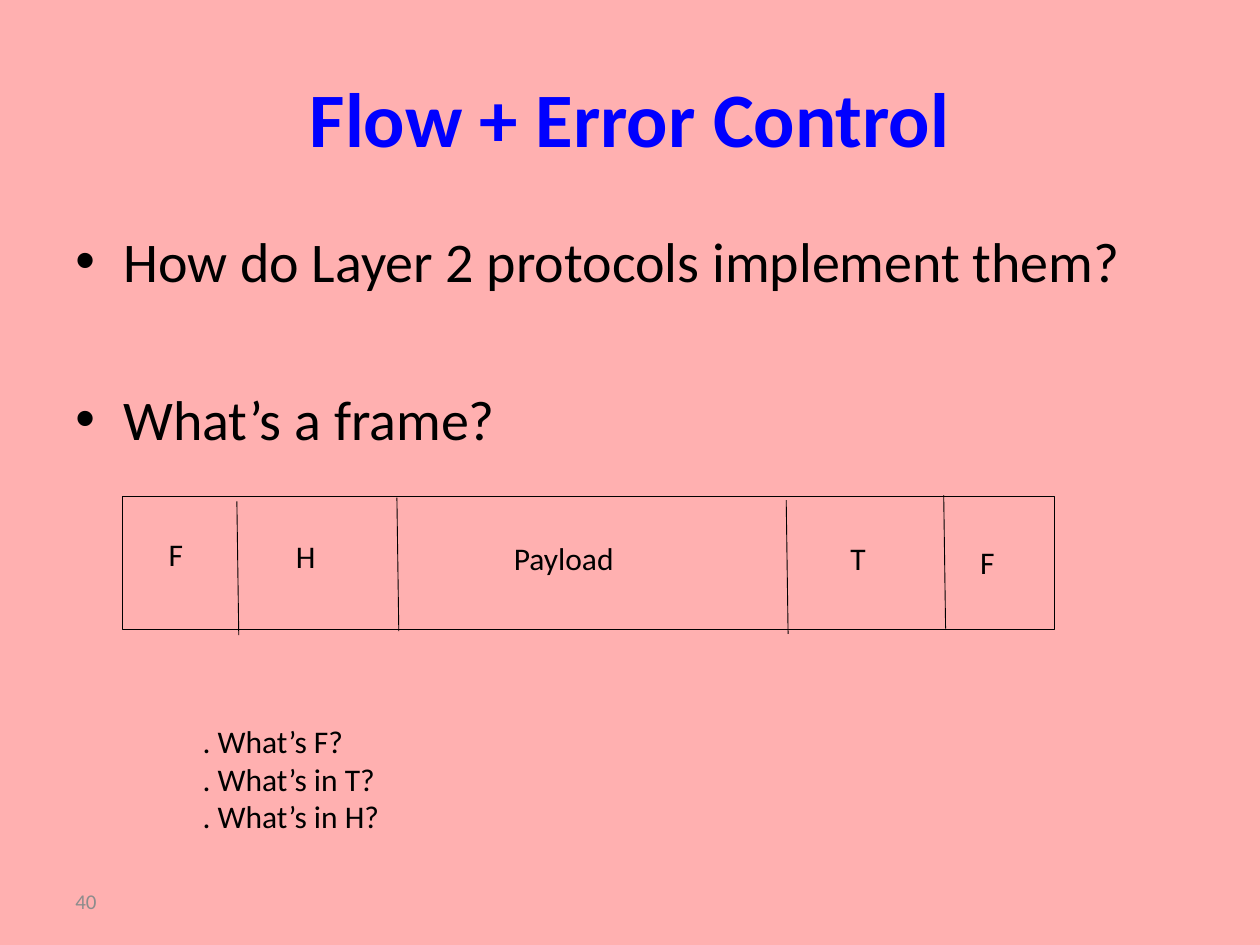
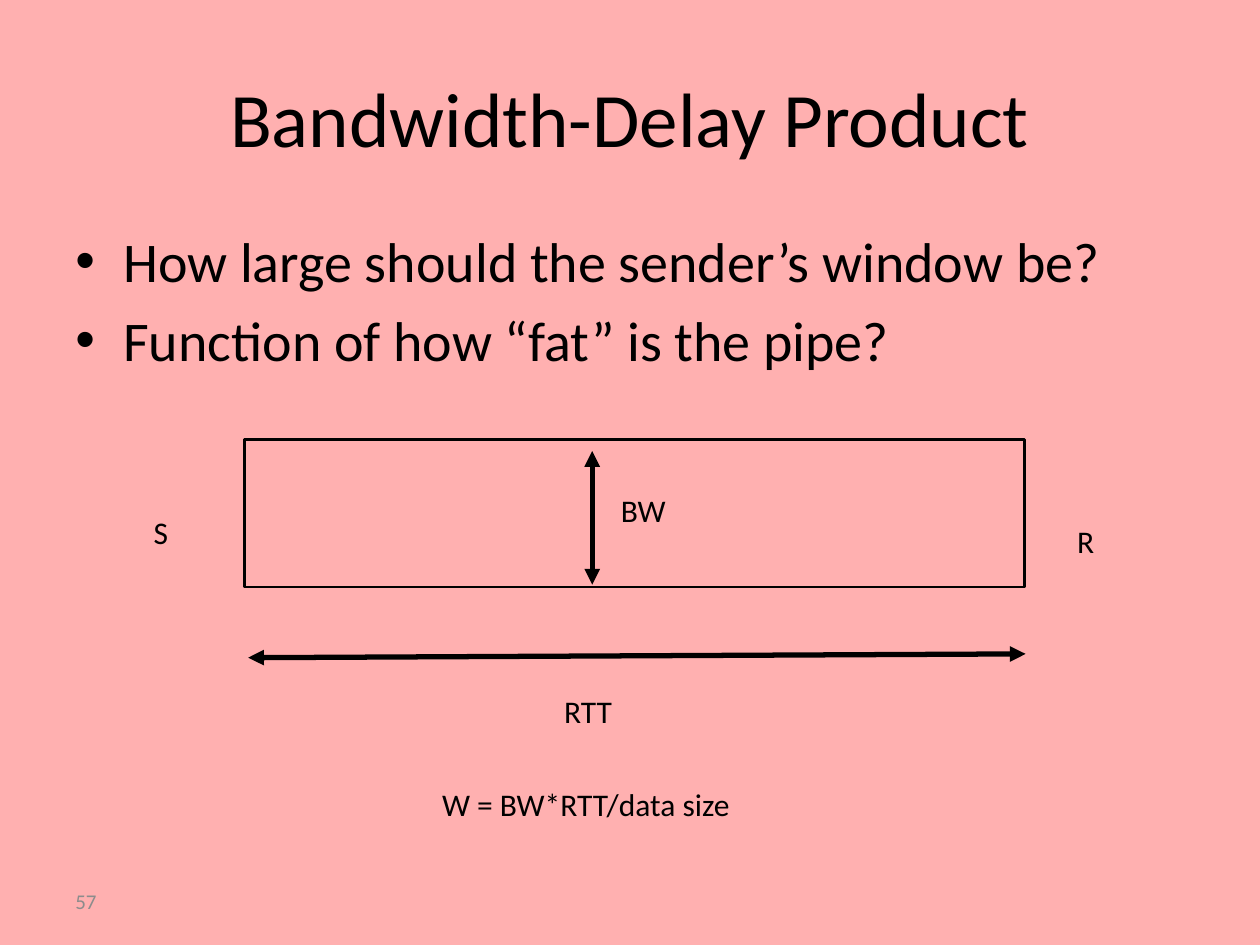
from lxml import etree
from pptx import Presentation
from pptx import util as u
from pptx.dml.color import RGBColor
from pptx.enum import shapes, text
from pptx.oxml.ns import qn

COLORS = {"pink": "FFB0B0", "blue": "0000FF", "black": "000000", "gray": "8C8C8C"}
FONT = "Calibri"
WIDTH, HEIGHT = u.Inches(10), u.Inches(7.5)
COLS, ROWS = 100, 75
LABEL_H = 5
BULLET_INDENT = u.Inches(0.38)

TITLE_BOX = (5, 3, 90, 12.5)
BODY_BOX = (5, 17.5, 90, 49.5)
NUMBER_BOX = (5, 69.5, 23.3, 4)


def rgb(name):
    return RGBColor.from_string(COLORS[name])


def x_at(col):
    return int(WIDTH * col / COLS)


def y_at(row):
    return int(HEIGHT * row / ROWS)


def place(box):
    x, y, w, h = box
    return x_at(x), y_at(y), x_at(w), y_at(h)


def add_text(s, box, content, size=18, color="black", bold=False,
             align=text.PP_ALIGN.LEFT, anchor=text.MSO_ANCHOR.TOP,
             bullet=None, before=None):
    lines = [content] if isinstance(content, str) else content
    tf = s.shapes.add_textbox(*place(box)).text_frame
    tf.word_wrap = True
    tf.vertical_anchor = anchor
    for i, line in enumerate(lines):
        p = tf.paragraphs[0] if i == 0 else tf.add_paragraph()
        p.alignment = align
        if before is not None:
            p.space_before = u.Pt(before[i])
        if bullet:
            pPr = p._p.get_or_add_pPr()
            pPr.set("marL", str(BULLET_INDENT))
            pPr.set("indent", str(-BULLET_INDENT))
            etree.SubElement(pPr, qn("a:buFont")).set("typeface", "Arial")
            etree.SubElement(pPr, qn("a:buChar")).set("char", bullet)
        r = p.add_run()
        r.text = line
        r.font.name = FONT
        r.font.size = u.Pt(size)
        r.font.bold = bold
        r.font.color.rgb = rgb(color)


def add_labels(s, box, labels):
    for content, dx, dy, w in labels:
        add_text(s, (box[0] + dx, box[1] + dy, w, LABEL_H), content)


def add_outline(s, box, weight):
    sp = s.shapes.add_shape(shapes.MSO_SHAPE.RECTANGLE, *place(box))
    sp.shadow.inherit = False
    sp.fill.background()
    sp.line.color.rgb = rgb("black")
    sp.line.width = u.Pt(weight)


def add_line(s, start, end, weight, arrows=False):
    c = s.shapes.add_connector(shapes.MSO_CONNECTOR.STRAIGHT,
                               x_at(start[0]), y_at(start[1]),
                               x_at(end[0]), y_at(end[1]))
    c.line.color.rgb = rgb("black")
    c.line.width = u.Pt(weight)
    spPr = c._element.spPr
    if arrows:
        ln = spPr.find(qn("a:ln"))
        for tag in ("a:headEnd", "a:tailEnd"):
            etree.SubElement(ln, qn(tag)).set("type", "triangle")
    etree.SubElement(spPr, qn("a:effectLst"))


def base_slide(prs, title, number, bullets, before, **title_format):
    s = prs.slides.add_slide(prs.slide_layouts[6])
    s.background.fill.solid()
    s.background.fill.fore_color.rgb = rgb("pink")
    middle = text.MSO_ANCHOR.MIDDLE
    add_text(s, NUMBER_BOX, number, size=12, color="gray", anchor=middle)
    add_text(s, TITLE_BOX, title, size=44, align=text.PP_ALIGN.CENTER,
             anchor=middle, **title_format)
    add_text(s, BODY_BOX, bullets, size=32, bullet="•", before=before)
    return s


def frame_diagram(s, box):
    x, y, w, h = box
    add_outline(s, box, 0.5)
    for dx, dy in ((9.1, 0.4), (21.8, 0.1), (52.7, 0.3), (65.2, -0.1)):
        add_line(s, (x + dx, y + dy), (x + dx + 0.15, y + dy + h), 0.5)
    add_labels(s, box, [
        ("F", 2.7, 2.6, 3.9),
        ("H", 12.8, 2.7, 4.4),
        ("Payload", 30.1, 2.9, 12.7),
        ("T", 56.8, 2.9, 4),
        ("F", 67.1, 3.2, 3.9),
    ])


def pipe_diagram(s, box):
    x, y, w, h = box
    add_outline(s, box, 1.5)
    add_line(s, (x + 0.3, y + 17.3), (x + w + 0.1, y + 17), 3, arrows=True)
    add_line(s, (x + 27.6, y + 0.9), (x + 27.6, y + h - 0.2), 3, arrows=True)
    add_labels(s, box, [
        ("S", -8.2, 5.3, 3.9),
        ("R", 65.1, 6, 4.2),
        ("BW", 28.9, 3.6, 7.4),
        ("RTT", 24.4, 19.5, 8.3),
        ("W = BW*RTT/data size", 14.7, 26.9, 34.5),
    ])


def flow_slide(prs):
    s = base_slide(prs, "Flow + Error Control", "40",
                   ["How do Layer 2 protocols implement them?", "What’s a frame?"],
                   before=(6.4, 51.8), color="blue", bold=True)
    frame_diagram(s, (9.7, 39.4, 74, 10.6))
    add_text(s, (15.1, 56.8, 21.4, 13),
             [". What’s F?", ". What’s in T?", ". What’s in H?"])


def bandwidth_slide(prs):
    s = base_slide(prs, "Bandwidth-Delay Product", "57",
                   ["How large should the sender’s window be?",
                    "Function of how “fat” is the pipe?"],
                   before=(6.4, 6.4))
    pipe_diagram(s, (19.4, 34.9, 61.9, 11.7))


def main():
    prs = Presentation()
    prs.slide_width, prs.slide_height = WIDTH, HEIGHT
    flow_slide(prs)
    bandwidth_slide(prs)
    prs.save("out.pptx")


if __name__ == "__main__":
    main()
